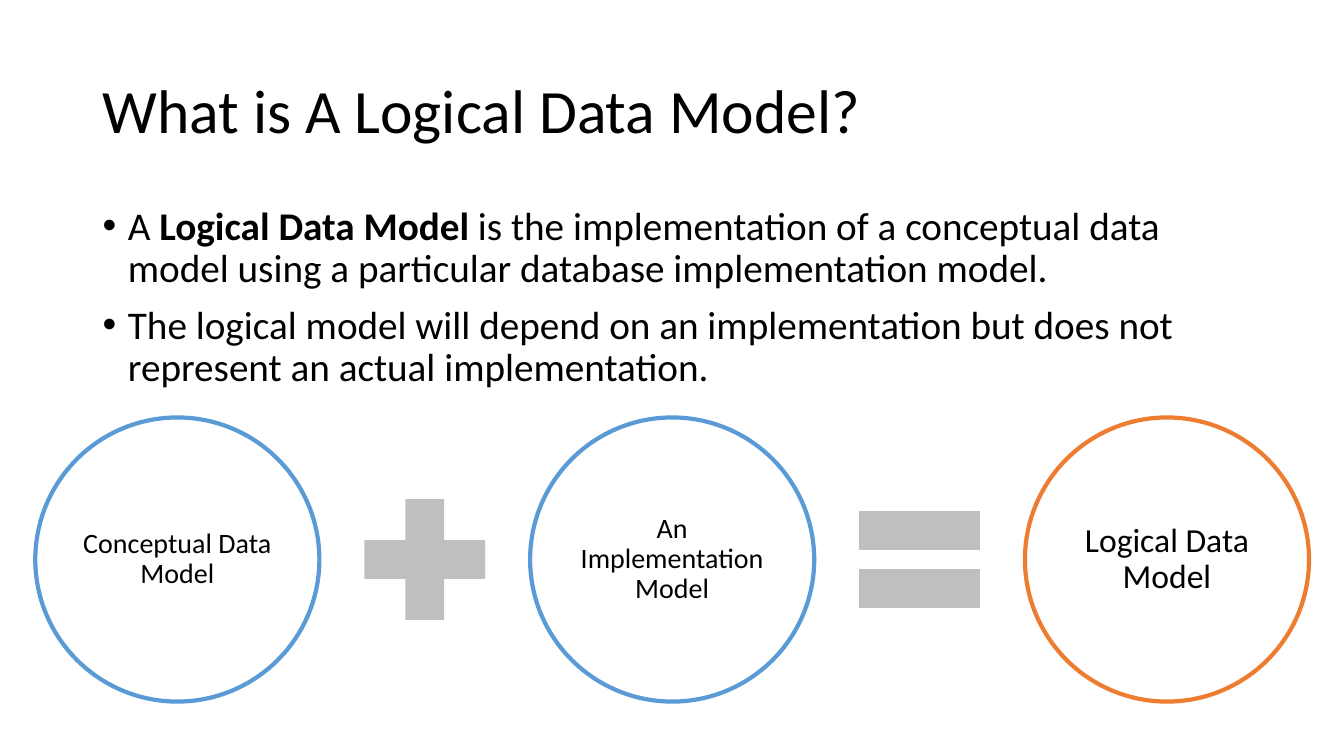
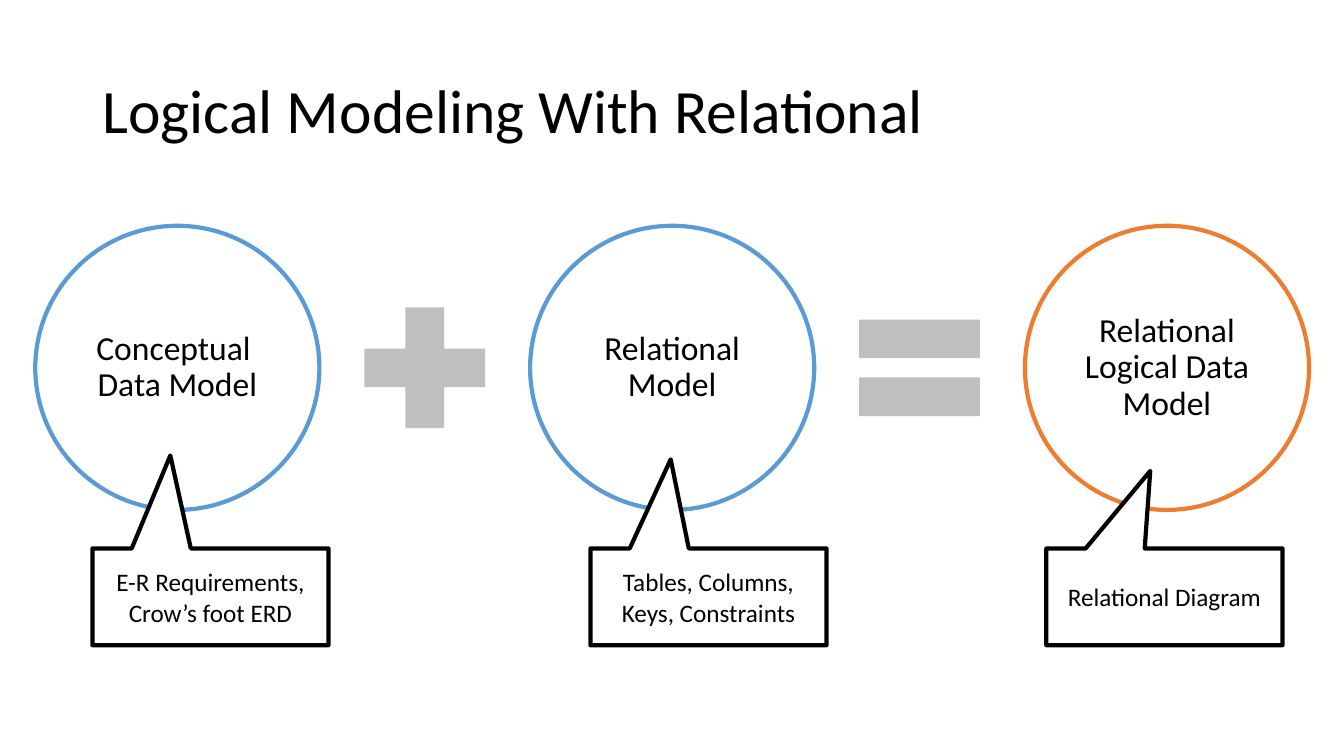
"""Build two slides that explain what a logical data model is."""
from pptx import Presentation
from pptx.dml.color import RGBColor
from pptx.enum.shapes import MSO_SHAPE
from pptx.enum.text import MSO_ANCHOR, MSO_AUTO_SIZE, PP_ALIGN
from pptx.util import Cm, Pt

COLOURS = {
    "text": "000000",
    "paper": "FFFFFF",
    "input": "5B9BD5",
    "result": "ED7D31",
    "sign": "BFBFBF",
}
PLACES = {
    "title": (2.33, 1.02, 29.21, 3.68),
    "body": (2.33, 5.08, 29.21, 4.95),
}
PARAGRAPHS = {
    "title": {"alignment": PP_ALIGN.LEFT, "line_spacing": 0.9},
    "body": {"alignment": PP_ALIGN.LEFT, "line_spacing": 0.9, "space_before": Pt(10)},
    "circle": {"alignment": PP_ALIGN.CENTER, "line_spacing": 0.9},
    "callout": {"alignment": PP_ALIGN.CENTER},
}
CIRCLE_LEFT, CIRCLE_SIZE, CIRCLE_PITCH = 0.89, 7.16, 12.47
SIGN_SIZE = 4.14
CIRCLE_INSET = 0.08
BULLET_INDENT = 0.64
CALLOUT_TOP, CALLOUT_WIDTH, CALLOUT_HEIGHT = 13.82, 5.95, 2.44


def set_all(target, values):
    """Set each named attribute of the target."""
    for name, value in values.items():
        setattr(target, name, value)


class SlideBuilder:
    """Hold the deck, its style and the current slide."""

    def __init__(self):
        """Start an empty widescreen deck."""
        self.deck = Presentation()
        set_all(self.deck, {"slide_width": Cm(33.87), "slide_height": Cm(19.05)})
        self.page = None

    def colour(self, name):
        """Return a named colour."""
        return RGBColor.from_string(COLOURS[name])

    def add_text(self, frame, texts, style, size):
        """Add one paragraph per text, with bold between double asterisks."""
        set_all(frame, {"word_wrap": True, "auto_size": MSO_AUTO_SIZE.NONE})
        for index, text in enumerate(texts):
            para = frame.add_paragraph() if index else frame.paragraphs[0]
            set_all(para, PARAGRAPHS[style])
            for part, words in enumerate(text.split("**")):
                for number, line in enumerate(words.split("\n")):
                    if number:
                        para.add_line_break()
                    span = para.add_run()
                    span.text = line
                    set_all(span.font, {"name": "Calibri", "size": Pt(size), "bold": part % 2 == 1})
                    span.font.color.rgb = self.colour("text")

    def place(self, box, name):
        """Move a placeholder to its place."""
        sides = ("left", "top", "width", "height")
        set_all(box, dict(zip(sides, map(Cm, PLACES[name]))))

    def add_page(self, layout, title):
        """Start a slide with a title."""
        self.page = self.deck.slides.add_slide(self.deck.slide_layouts.get_by_name(layout))
        box = self.page.shapes.title
        self.place(box, "title")
        box.text_frame.vertical_anchor = MSO_ANCHOR.MIDDLE
        self.add_text(box.text_frame, [title], "title", 44)

    def add_bullets(self, texts):
        """Fill the body placeholder with a list."""
        box = self.page.placeholders[1]
        self.place(box, "body")
        self.add_text(box.text_frame, texts, "body", 28)
        indent = Cm(BULLET_INDENT)
        for para in box.text_frame.paragraphs:
            properties = para._p.get_or_add_pPr()
            properties.set("marL", str(indent))
            properties.set("indent", str(-indent))

    def add_box(self, kind, place, fill, line=None):
        """Add a flat shape with an optional outline."""
        box = self.page.shapes.add_shape(kind, *map(Cm, place))
        box.shadow.inherit = False
        box.fill.solid()
        box.fill.fore_color.rgb = self.colour(fill)
        if line:
            box.line.color.rgb = self.colour(line)
            box.line.width = Pt(3)
        else:
            box.line.fill.background()
        box.text_frame.vertical_anchor = MSO_ANCHOR.MIDDLE
        return box

    def add_equation(self, top, terms):
        """Add three circles joined by a plus and an equals sign."""
        colours = ("input", "input", "result")
        signs = (MSO_SHAPE.MATH_PLUS, MSO_SHAPE.MATH_EQUAL)
        for index, (text, size) in enumerate(terms):
            left = CIRCLE_LEFT + index * CIRCLE_PITCH
            place = (left, top, CIRCLE_SIZE, CIRCLE_SIZE)
            circle = self.add_box(MSO_SHAPE.OVAL, place, "paper", colours[index])
            sides = ("left", "top", "right", "bottom")
            set_all(circle.text_frame, {f"margin_{side}": Cm(CIRCLE_INSET) for side in sides})
            self.add_text(circle.text_frame, [text], "circle", size)
        for index, sign in enumerate(signs):
            left = CIRCLE_LEFT + index * CIRCLE_PITCH + (CIRCLE_PITCH + CIRCLE_SIZE - SIGN_SIZE) / 2
            sign_top = top + (CIRCLE_SIZE - SIGN_SIZE) / 2
            self.add_box(sign, (left, sign_top, SIGN_SIZE, SIGN_SIZE), "sign")

    def add_callout(self, left, tip, texts):
        """Add a callout whose tip is given as shares of its size."""
        place = (left, CALLOUT_TOP, CALLOUT_WIDTH, CALLOUT_HEIGHT)
        box = self.add_box(MSO_SHAPE.RECTANGULAR_CALLOUT, place, "paper", "text")
        box.adjustments[0], box.adjustments[1] = tip
        self.add_text(box.text_frame, texts, "callout", 18)


def main():
    """Build and save the deck."""
    builder = SlideBuilder()

    builder.add_page("Title and Content", "What is A Logical Data Model?")
    builder.add_bullets([
        "A **Logical Data Model** is the implementation of a conceptual data model "
        "using a particular database implementation model.",
        "The logical model will depend on an implementation but does not "
        "represent an actual implementation.",
    ])
    builder.add_equation(10.52, [
        ("Conceptual Data Model", 20),
        ("An Implementation Model", 20),
        ("Logical Data Model", 24),
    ])

    builder.add_page("Title Only", "Logical Modeling With Relational")
    builder.add_equation(5.69, [
        ("Conceptual \nData Model", 24),
        ("Relational\nModel", 24),
        ("Relational\nLogical Data Model", 24),
    ])
    builder.add_callout(2.33, (-0.17, -1.46), ["E-R Requirements,", "Crow’s foot ERD"])
    builder.add_callout(14.88, (-0.16, -1.42), ["Tables, Columns, Keys, Constraints"])
    builder.add_callout(26.37, (-0.06, -1.3), ["Relational Diagram"])

    builder.deck.save("out.pptx")


if __name__ == "__main__":
    main()
